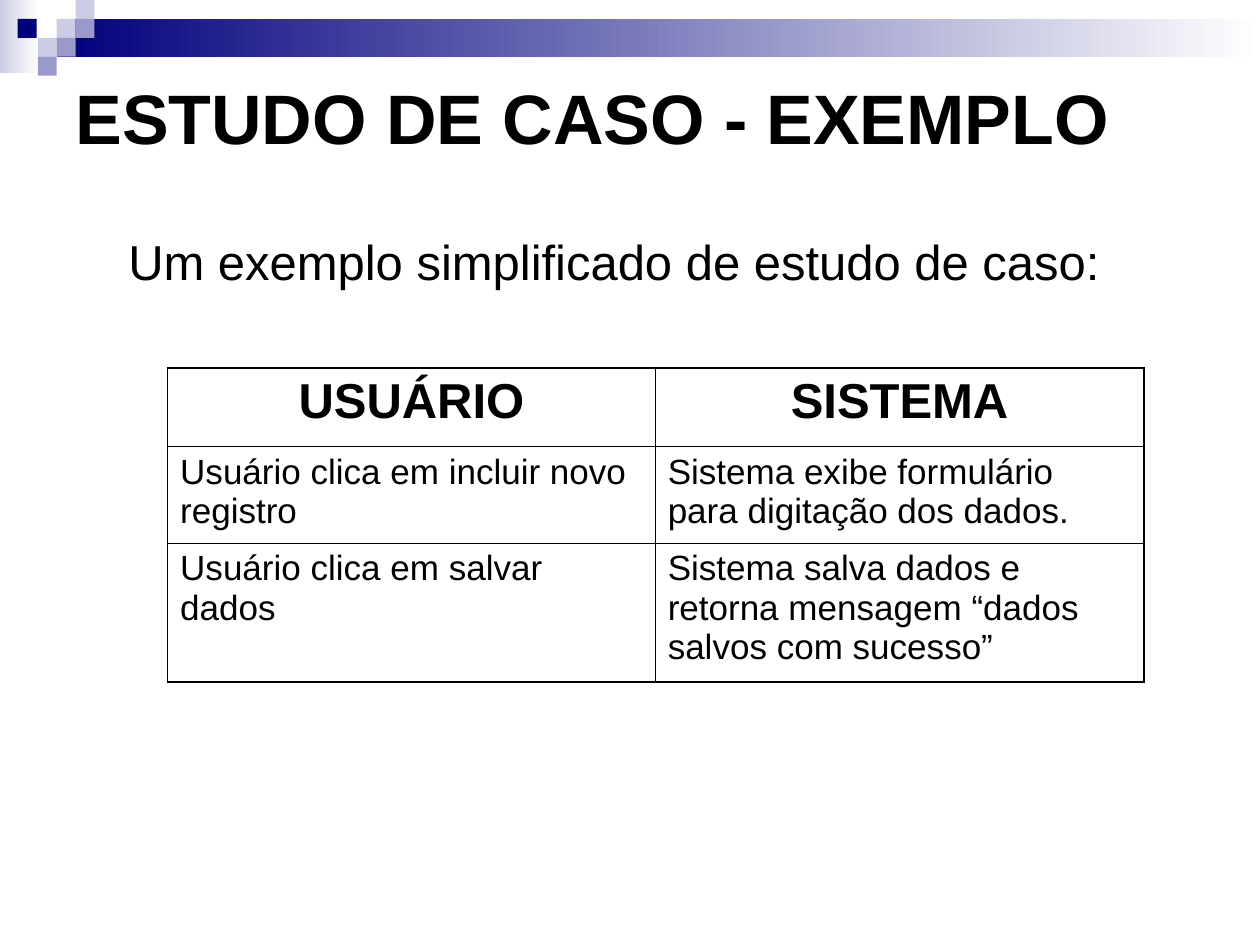
from lxml import etree
from pptx import Presentation
from pptx.dml.color import RGBColor
from pptx.enum.shapes import MSO_SHAPE
from pptx.enum.text import MSO_ANCHOR, PP_ALIGN
from pptx.oxml.ns import qn
from pptx.util import Inches, Pt

RECTANGLE = MSO_SHAPE.RECTANGLE
MIDDLE = MSO_ANCHOR.MIDDLE
LEFT, CENTER, JUSTIFY = PP_ALIGN.LEFT, PP_ALIGN.CENTER, PP_ALIGN.JUSTIFY
BLACK = RGBColor(0x00, 0x00, 0x00)
WHITE = RGBColor(0xFF, 0xFF, 0xFF)
NAVY = RGBColor(0x00, 0x00, 0x7D)
LILAC = RGBColor(0x99, 0x99, 0xCC)
PALE = RGBColor(0xCC, 0xCC, 0xE6)
OUTER, INNER = Pt(1.08), Pt(0.45)


def add_block(left, top, width, height, color, fade=False):
    block = slide.shapes.add_shape(
        RECTANGLE, Inches(left), Inches(top), Inches(width), Inches(height))
    block.shadow.inherit = False
    block.line.fill.background()
    if fade:
        block.fill.gradient()
        block.fill.gradient_angle = 0
        for stop, stop_color in zip(block.fill.gradient_stops, (color, WHITE)):
            stop.color.rgb = stop_color
    else:
        block.fill.solid()
        block.fill.fore_color.rgb = color


def write(frame, text, size, align, bold=False):
    frame.word_wrap = True
    paragraph = frame.paragraphs[0]
    paragraph.text = text
    paragraph.alignment = align
    paragraph.font.name = "Arial"
    paragraph.font.size = Pt(size)
    paragraph.font.bold = bold
    paragraph.font.color.rgb = BLACK


prs = Presentation()
prs.slide_width, prs.slide_height = Inches(10), Inches(7.5)
slide = prs.slides.add_slide(prs.slide_layouts[5])

add_block(0, 0, 0.31, 0.58, PALE, fade=True)
add_block(0.45, 0.15, 9.55, 0.3, NAVY, fade=True)
for left, top, color in [
    (0.45, 0.15, PALE), (0.6, 0, PALE), (0.6, 0.15, LILAC), (0.3, 0.3, PALE),
    (0.14, 0.15, NAVY), (0.45, 0.3, LILAC), (0.3, 0.45, LILAC),
]:
    add_block(left, top, 0.15, 0.15, color)

title = slide.shapes.title
title.left, title.top = Inches(0.5), Inches(0.3)
title.width, title.height = Inches(9), Inches(1.25)
title.text_frame.vertical_anchor = MIDDLE
write(title.text_frame, "ESTUDO DE CASO - EXEMPLO", 40, LEFT, bold=True)

intro = slide.shapes.add_textbox(Inches(0.92), Inches(1.79), Inches(8.75), Inches(0.58))
write(intro.text_frame, "Um exemplo simplificado de estudo de caso:", 28, JUSTIFY)

steps = [
    ("USUÁRIO", "SISTEMA"),
    ("Usuário clica em incluir novo registro",
     "Sistema exibe formulário para digitação dos dados."),
    ("Usuário clica em salvar dados",
     "Sistema salva dados e retorna mensagem “dados salvos com sucesso”"),
]
case_table = slide.shapes.add_table(
    3, 2, Inches(1.33), Inches(2.92), Inches(7.75), Inches(2.49)).table
for column, width in zip(case_table.columns, (3.87, 3.88)):
    column.width = Inches(width)
for row, height in zip(case_table.rows, (0.62, 0.77, 1.1)):
    row.height = Inches(height)

for r, step in enumerate(steps):
    for c, text in enumerate(step):
        cell = case_table.cell(r, c)
        header = r == 0
        write(cell.text_frame, text, 28 if header else 20,
              CENTER if header else LEFT, bold=header)
        edges = {"a:lnL": c == 0, "a:lnR": c == 1, "a:lnT": r == 0, "a:lnB": r == 2}
        properties = cell._tc.get_or_add_tcPr()
        for tag, is_outer in edges.items():
            border = etree.SubElement(
                properties, qn(tag), w=str(OUTER if is_outer else INNER))
            border_fill = etree.SubElement(border, qn("a:solidFill"))
            etree.SubElement(border_fill, qn("a:srgbClr"), val=str(BLACK))
        cell.fill.background()

prs.save("out.pptx")
